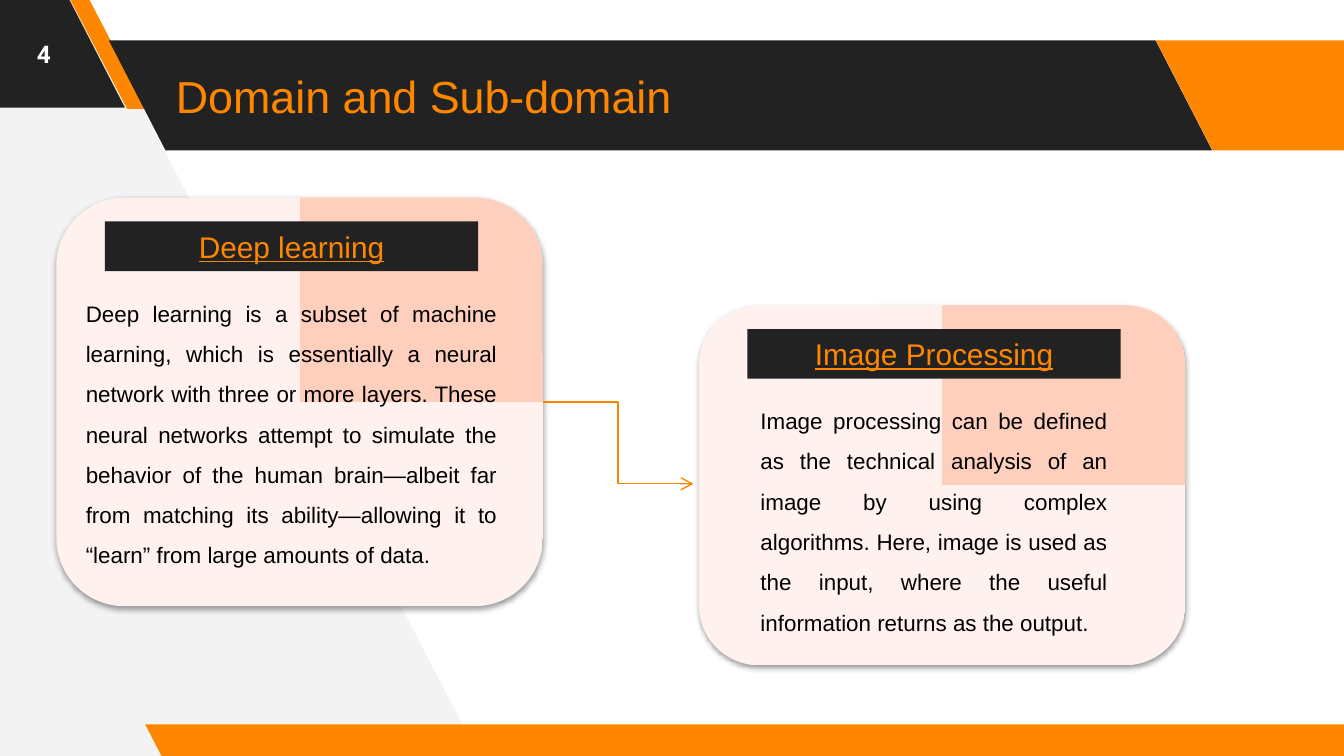
from dataclasses import dataclass

from lxml.etree import SubElement
from pptx import Presentation
from pptx.dml.color import RGBColor as Color
from pptx.enum.shapes import MSO_CONNECTOR as Connector, MSO_SHAPE as Shape
from pptx.enum.text import MSO_ANCHOR as Anchor, MSO_AUTO_SIZE as AutoSize, PP_ALIGN as Align
from pptx.oxml import parse_xml
from pptx.oxml.ns import nsdecls, qn
from pptx.util import Pt


@dataclass(frozen=True)
class Theme:
    dark: Color = Color(0x22, 0x22, 0x22)
    orange: Color = Color(0xFF, 0x87, 0x00)
    arrow: Color = Color(0xF9, 0x84, 0x00)
    pale: Color = Color(0xF3, 0xF3, 0xF3)
    white: Color = Color(0xFF, 0xFF, 0xFF)
    black: Color = Color(0, 0, 0)
    card_stops: tuple = ((0, "FFCFBD"), (100, "FFCFBE"), (100, "FFF2EE"))
    font: str = "Arial"
    number_font: str = "Roboto"
    title_size: int = 24
    heading_size: int = 16
    number_size: int = 13
    body_size: int = 12


THEME = Theme()

DEEP_LEARNING = (
    "Deep learning is a subset of machine learning, which is essentially a neural network "
    "with three or more layers. These neural networks attempt to simulate the behavior of "
    "the human brain—albeit far from matching its ability—allowing it to “learn” from large "
    "amounts of data."
)
IMAGE_PROCESSING = (
    "Image processing can be defined as the technical analysis of an image by using complex "
    "algorithms. Here, image is used as the input, where the useful information returns as "
    "the output."
)


def points(*values):
    return [Pt(value) for value in values]


def paint(shape, color):
    shape.shadow.inherit = False
    shape.line.fill.background()
    shape.fill.solid()
    shape.fill.fore_color.rgb = color


def add_block(slide, kind, box, color):
    shape = slide.shapes.add_shape(kind, *points(*box))
    paint(shape, color)
    return shape


def add_slant(slide, box, color, slant=0.515):
    shape = add_block(slide, Shape.PARALLELOGRAM, box, color)
    shape.adjustments[0] = slant
    shape.element.spPr.get_or_add_xfrm().set("flipH", "1")


def add_backdrop(slide):
    builder = slide.shapes.build_freeform(*points(256.3, 404.6))
    corners = [(44.6, -2.9), (-4.3, -2.9), (-1.4, 407.5)]
    builder.add_line_segments([points(*corner) for corner in corners], close=True)
    paint(builder.convert_to_shape(), THEME.pale)


def write_text(shape, text, *, size, color, font=THEME.font, align=Align.LEFT,
               anchor=Anchor.MIDDLE, bold=False, underline=False, spacing=1, inset=3.6):
    frame = shape.text_frame
    frame.word_wrap = True
    frame.vertical_anchor = anchor
    frame.margin_left = frame.margin_right = Pt(7.2)
    frame.margin_top = frame.margin_bottom = Pt(inset)
    paragraph = frame.paragraphs[0]
    paragraph.alignment = align
    paragraph.line_spacing = float(spacing)
    run = paragraph.add_run()
    run.text = text
    run.font.name = font
    run.font.size = Pt(size)
    run.font.color.rgb = color
    run.font.bold = bold
    run.font.underline = underline


def add_label(slide, box, text, **text_format):
    shape = slide.shapes.add_textbox(*points(*box))
    write_text(shape, text, **text_format)
    return shape


def add_panel(slide, box):
    shape = add_block(slide, Shape.ROUNDED_RECTANGLE, box, THEME.white)
    properties = shape.element.spPr
    stops = "".join(
        f'<a:gs pos="{position * 1000}"><a:srgbClr val="{color}"/></a:gs>'
        for position, color in THEME.card_stops
    )
    gradient = parse_xml(
        f'<a:gradFill {nsdecls("a")} rotWithShape="1"><a:gsLst>{stops}</a:gsLst>'
        '<a:path path="rect"><a:fillToRect l="100000" b="100000"/></a:path></a:gradFill>'
    )
    properties.replace(properties.find(qn("a:solidFill")), gradient)
    properties.find(qn("a:effectLst")).append(parse_xml(
        f'<a:outerShdw {nsdecls("a")} blurRad="{Pt(3.1)}" dist="{Pt(1.6)}" dir="5400000" '
        'rotWithShape="0"><a:srgbClr val="000000"><a:alpha val="38000"/></a:srgbClr>'
        '</a:outerShdw>'
    ))


def add_card(slide, left, top, height, heading, body, body_box):
    add_panel(slide, (left, top, 260.6, height))
    banner = add_block(slide, Shape.RECTANGLE, (left + 26, top + 12.8, 200, 26.6), THEME.dark)
    write_text(banner, heading, size=THEME.heading_size, color=THEME.orange,
               align=Align.CENTER, underline=True)
    label = add_label(slide, body_box, body, size=THEME.body_size, color=THEME.black,
                      align=Align.JUSTIFY, anchor=Anchor.TOP, spacing=1.5)
    label.text_frame.auto_size = AutoSize.SHAPE_TO_FIT_TEXT


def add_elbow_arrow(slide, start, end):
    connector = slide.shapes.add_connector(Connector.ELBOW, *points(*start, *end))
    connector.line.color.rgb = THEME.arrow
    connector.line.width = Pt(0.75)
    properties = connector.element.spPr
    SubElement(properties.find(qn("a:ln")), qn("a:tailEnd"), type="arrow")
    SubElement(properties, qn("a:effectLst"))


def add_frame(slide):
    add_backdrop(slide)
    add_slant(slide, (-71.3, -1.4, 138.2, 59), THEME.dark)
    add_slant(slide, (37.4, -0.7, 41, 59), THEME.orange, slant=0.75)
    add_slant(slide, (58.3, 21.6, 591.1, 59), THEME.dark)
    add_slant(slide, (619.2, 21.6, 138.2, 59), THEME.orange)
    add_slant(slide, (77.8, 388.1, 658.8, 18), THEME.orange)


def main():
    presentation = Presentation()
    presentation.slide_width, presentation.slide_height = points(720, 405)
    slide = presentation.slides.add_slide(presentation.slide_layouts[6])

    add_frame(slide)
    add_label(slide, (87.1, 21.6, 529.2, 59), "Domain and Sub-domain",
              size=THEME.title_size, color=THEME.orange, inset=7.2)
    add_label(slide, (0, 0, 46.8, 57.6), "4", size=THEME.number_size, color=THEME.white,
              font=THEME.number_font, align=Align.CENTER, bold=True, inset=7.2)
    add_card(slide, 30.2, 105.9, 218.9, "Deep learning", DEEP_LEARNING,
             (38.9, 149.8, 234.7, 159.8))
    add_card(slide, 374.4, 163.5, 192.9, "Image Processing", IMAGE_PROCESSING,
             (400.3, 207.4, 200.2, 138.2))
    add_elbow_arrow(slide, (290.9, 215.3), (371.5, 259.2))

    presentation.save("out.pptx")


if __name__ == "__main__":
    main()
